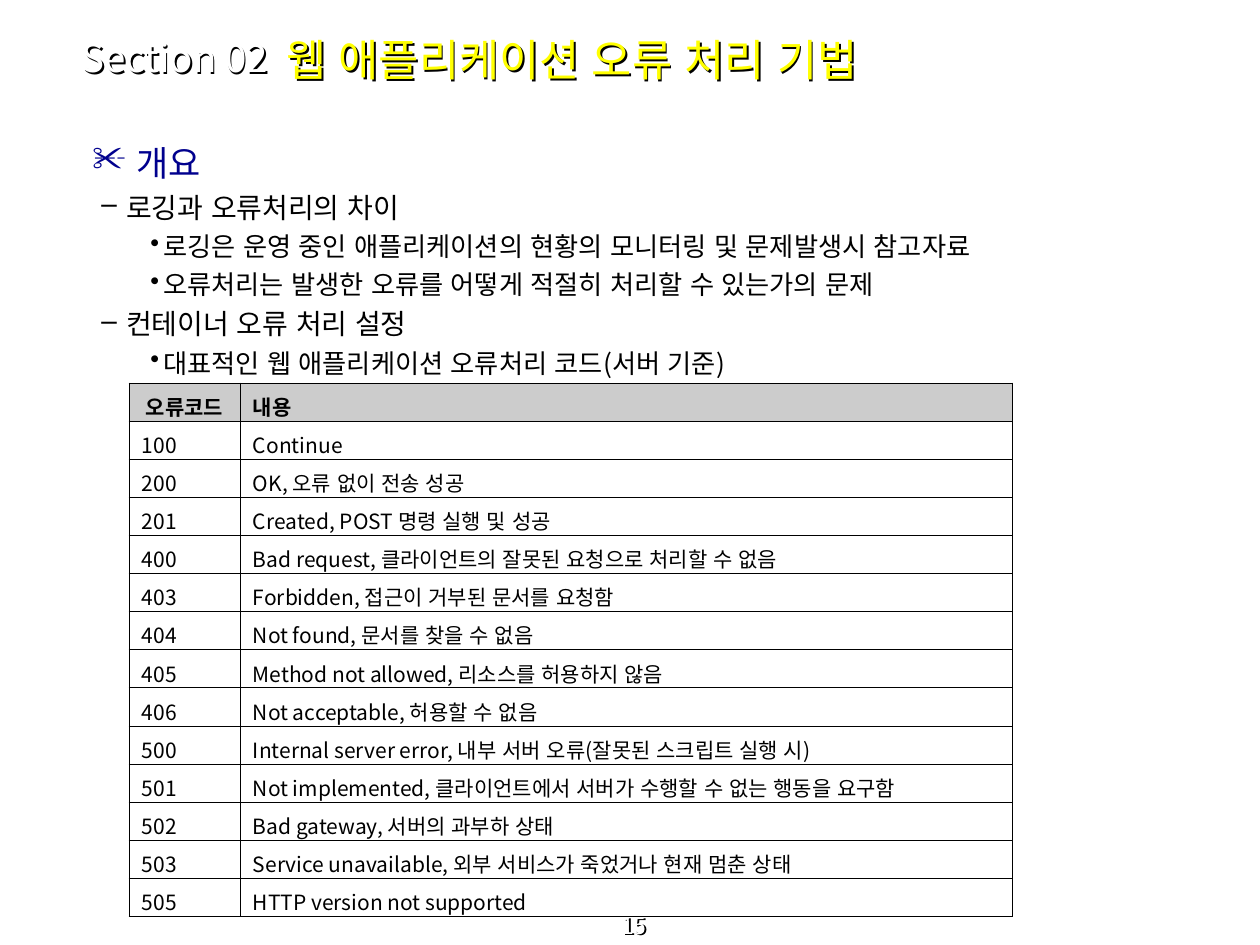
from lxml.etree import SubElement
from pptx import Presentation
from pptx.dml.color import RGBColor
from pptx.enum.text import MSO_ANCHOR, PP_ALIGN
from pptx.oxml.ns import qn
from pptx.util import Pt

SCALE = 914400 / 126
FONT = "Noto Sans CJK KR"
COLORS = {
    "white": "FFFFFF",
    "black": "000000",
    "navy": "00008E",
    "yellow": "FFFF00",
    "header": "CCCCCC",
}
LEVELS = [
    {"bullet": "✂", "margin": 59, "indent": -44, "size": 20, "before": 0, "color": "navy"},
    {"bullet": "–", "margin": 49, "indent": -25, "size": 16, "before": 4, "color": "black"},
    {"bullet": "•", "margin": 86, "indent": -13, "size": 15, "before": 3.7, "color": "black"},
]
OUTLINE = [
    (0, "개요"),
    (1, "로깅과 오류처리의 차이"),
    (2, "로깅은 운영 중인 애플리케이션의 현황의 모니터링 및 문제발생시 참고자료"),
    (2, "오류처리는 발생한 오류를 어떻게 적절히 처리할 수 있는가의 문제"),
    (1, "컨테이너 오류 처리 설정"),
    (2, "대표적인 웹 애플리케이션 오류처리 코드(서버 기준)"),
]
ERROR_CODES = [
    ("오류코드", "내용"),
    ("100", "Continue"),
    ("200", "OK, 오류 없이 전송 성공"),
    ("201", "Created, POST 명령 실행 및 성공"),
    ("400", "Bad request, 클라이언트의 잘못된 요청으로 처리할 수 없음"),
    ("403", "Forbidden, 접근이 거부된 문서를 요청함"),
    ("404", "Not found, 문서를 찾을 수 없음"),
    ("405", "Method not allowed, 리소스를 허용하지 않음"),
    ("406", "Not acceptable, 허용할 수 없음"),
    ("500", "Internal server error, 내부 서버 오류(잘못된 스크립트 실행 시)"),
    ("501", "Not implemented, 클라이언트에서 서버가 수행할 수 없는 행동을 요구함"),
    ("502", "Bad gateway, 서버의 과부하 상태"),
    ("503", "Service unavailable, 외부 서비스가 죽었거나 현재 멈춘 상태"),
    ("505", "HTTP version not supported"),
]


def px(n):
    return round(n * SCALE)


class SlideBuilder:
    def __init__(self, prs):
        self.s = prs.slides.add_slide(prs.slide_layouts[6])

    def apply(self, target, values):
        for name, value in values.items():
            setattr(target, name, value)

    def run(self, p, text, size, color, bold=False):
        r = p.add_run()
        r.text = text
        self.apply(r.font, {"name": FONT, "size": Pt(size), "bold": bold})
        r.font.color.rgb = RGBColor.from_string(COLORS[color])
        props = r.font._element
        props.set("lang", "ko-KR")
        props.set("kern", "0")
        latin = props.find(qn("a:latin"))
        latin.addnext(latin.makeelement(qn("a:ea"), {"typeface": FONT}))

    def box(self, bounds, anchor):
        sp = self.s.shapes.add_textbox(*map(px, bounds))
        self.apply(sp.text_frame, {"word_wrap": True, "vertical_anchor": anchor})
        return sp

    def heading(self, bounds, text, size, color, align=PP_ALIGN.LEFT, anchor=MSO_ANCHOR.MIDDLE):
        sp = self.box(bounds, anchor)
        effects = SubElement(sp._element.spPr, qn("a:effectLst"))
        shadow = SubElement(effects, qn("a:outerShdw"), dist="17961", dir="2700000")
        SubElement(shadow, qn("a:srgbClr"), val=COLORS["black"])
        p = sp.text_frame.paragraphs[0]
        p.alignment = align
        self.run(p, text, size, color)

    def outline(self, bounds, items):
        tf = self.box(bounds, MSO_ANCHOR.TOP).text_frame
        for i, (level, text) in enumerate(items):
            style = LEVELS[level]
            p = tf.paragraphs[0] if i == 0 else tf.add_paragraph()
            self.apply(p, {"level": level, "space_before": Pt(style["before"])})
            props = p._p.get_or_add_pPr()
            props.set("marL", str(px(style["margin"])))
            props.set("indent", str(px(style["indent"])))
            bullet_color = SubElement(props, qn("a:buClr"))
            SubElement(bullet_color, qn("a:srgbClr"), val=COLORS[style["color"]])
            SubElement(props, qn("a:buChar"), char=style["bullet"])
            self.run(p, text, style["size"], style["color"])

    def border(self, cell):
        props = cell._tc.get_or_add_tcPr()
        for i, side in enumerate(("lnL", "lnR", "lnT", "lnB")):
            line = props.makeelement(qn(f"a:{side}"), {"w": str(Pt(0.45))})
            fill = SubElement(line, qn("a:solidFill"))
            SubElement(fill, qn("a:srgbClr"), val=COLORS["black"])
            props.insert(i, line)

    def table(self, left, top, widths, height, rows):
        table = self.s.shapes.add_table(
            len(rows), len(widths), *map(px, (left, top, sum(widths), height))).table
        self.apply(table, {"first_row": False, "horz_banding": False})
        for column, width in zip(table.columns, widths):
            column.width = px(width)
        for i, row in enumerate(rows):
            table.rows[i].height = px(height / len(rows))
            for j, text in enumerate(row):
                cell = table.cell(i, j)
                self.apply(cell, {"margin_left": px(13), "margin_right": px(13),
                                  "margin_top": px(8), "margin_bottom": px(3),
                                  "vertical_anchor": MSO_ANCHOR.MIDDLE})
                if i == 0:
                    cell.fill.solid()
                    cell.fill.fore_color.rgb = RGBColor.from_string(COLORS["header"])
                else:
                    cell.fill.background()
                self.border(cell)
                p = cell.text_frame.paragraphs[0]
                centered = i == 0 and j == 0
                p.alignment = PP_ALIGN.CENTER if centered else PP_ALIGN.JUSTIFY
                self.run(p, text, 12, "black", bold=i == 0)


def main():
    prs = Presentation()
    prs.slide_width, prs.slide_height = px(1260), px(945)
    slide = SlideBuilder(prs)
    slide.heading((4, 917, 1260, 28), "15", 13, "white", PP_ALIGN.CENTER, MSO_ANCHOR.BOTTOM)
    slide.outline((65, 135, 1134, 764), OUTLINE)
    slide.heading((274, 26, 694, 66), "웹 애플리케이션 오류 처리 기법", 25, "yellow")
    slide.heading((69, 34, 243, 47), "Section 02", 22, "white")
    slide.table(129, 383, (111, 772), 534, ERROR_CODES)
    prs.save("out.pptx")


if __name__ == "__main__":
    main()
